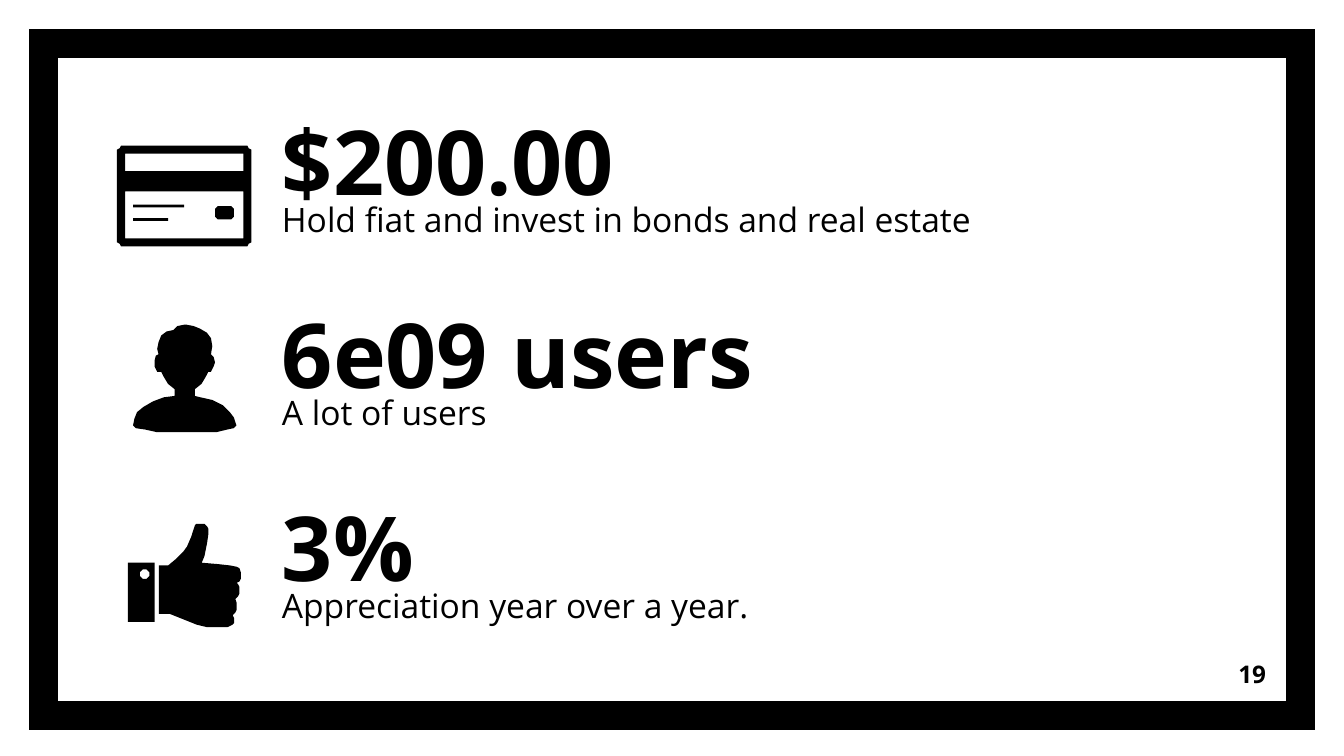
from math import cos, sin, pi
from pptx import Presentation
from pptx.dml.color import RGBColor
from pptx.enum.shapes import MSO_SHAPE as Shape
from pptx.enum.text import MSO_ANCHOR as Anchor, PP_ALIGN as Align
from pptx.util import Pt

INK = "000000"
FONT = "Open Sans"
UNIT = 0.72  # points per step of the icon grid

HEAD = [
    (38, 0), (33, 1), (30, 4), (25, 5), (21, 8), (19, 13), (18, 18), (19, 22),
    (17, 23), (16, 27), (16, 31), (18, 35), (21, 35), (23, 39), (26, 44), (31, 48),
    (31, 53), (23, 54), (15, 57), (8, 61), (3, 65), (1, 70), (0, 75), (2, 77),
    (9, 78), (18, 80), (27, 80.5), (38, 80.5), (50, 80.5), (62, 79.5), (70, 78), (75, 77),
    (77, 75), (75, 69), (72, 65), (67, 60), (59, 56), (50, 54), (46, 53),
    (46, 48), (51, 44), (54, 39), (56, 35), (58, 35), (60, 31), (61, 28),
    (60, 24), (58, 22), (59, 16), (58, 10), (55, 6), (50, 3), (45, 1), (40, 0)]
HAND = [
    (55, 1), (51, 1), (50, 2), (47, 11), (44, 18), (41, 22), (36, 27), (30, 32),
    (23, 32), (23, 68), (31, 68), (41, 72), (51, 76), (59, 78), (66, 78.5), (74, 78),
    (78, 76), (79, 75), (79, 71), (78, 69), (80, 67), (81, 65), (81, 60), (80, 57),
    (82, 55), (83, 53), (83, 48), (82, 46), (81, 45), (83, 44), (84, 42), (84, 37),
    (83, 34), (81, 33), (76, 32), (67, 31), (55, 30), (57, 25), (59, 15),
    (60, 8), (60, 5), (59, 3), (57, 1)]


def paint(hue):
    """Turn a hex string into a colour."""
    return RGBColor.from_string(hue)


def fill(shape, hue=INK):
    """Give a shape a flat fill, no line and no shadow."""
    shape.shadow.inherit = False
    shape.fill.solid()
    shape.fill.fore_color.rgb = paint(hue)
    shape.line.fill.background()


def write(slide, text, box, size=18, bold=False, hue=INK,
          align=Align.LEFT, anchor=Anchor.TOP, before=0):
    """Add a text box of one paragraph; box is left, top, width, height."""
    frame = slide.shapes.add_textbox(*map(Pt, box)).text_frame
    frame.word_wrap = True
    frame.vertical_anchor = anchor
    frame.margin_left = frame.margin_right = Pt(7.2)
    frame.margin_top = frame.margin_bottom = Pt(7.2)
    para = frame.paragraphs[0]
    para.alignment = align
    para.space_before = Pt(before)
    run = para.add_run()
    run.text = text
    run.font.name, run.font.size, run.font.bold = FONT, Pt(size), bold
    run.font.color.rgb = paint(hue)


def trace(slide, left, top, *rings):
    """Draw closed rings of grid points as one shape; inner rings are holes."""
    pen = None
    for ring in rings:
        if pen is None:
            pen = slide.shapes.build_freeform(*ring[0], scale=Pt(UNIT))
        else:
            pen.move_to(*ring[0])
        pen.add_line_segments(ring[1:], close=True)
    fill(pen.convert_to_shape(Pt(left), Pt(top)))


def block(x, y, w, h, r=0):
    """Return the grid points of a box with corners of radius r."""
    spots = [(x + w - r, y + h - r), (x + r, y + h - r), (x + r, y + r), (x + w - r, y + r)]
    if not r:
        return spots
    turns = [pi / 2 * (turn + step / 4) for turn in range(4) for step in range(5)]
    return [(round(spots[i // 5][0] + r * cos(a), 2),
             round(spots[i // 5][1] + r * sin(a), 2)) for i, a in enumerate(turns)]


def card(slide, left, top):
    """Draw the bank card."""
    top += 26.9
    trace(slide, left, top, block(0, 0, 100, 75, 5.5),
          block(5.5, 6, 89, 13), block(5.5, 34, 89, 35))
    for part in [(11.5, 43.5, 39, 3, 1.4), (11.5, 53.5, 27, 3, 1.4), (73, 45, 14, 10, 3)]:
        trace(slide, left, top, block(*part))


def person(slide, left, top):
    """Draw the head and shoulders."""
    trace(slide, left + 8.6, top + 19.5, HEAD)


def thumb(slide, left, top):
    """Draw the cuff with its button and the raised thumb."""
    left, top = left + 5.8, top + 22
    trace(slide, left, top, block(0, 30, 20, 44), block(9, 35, 7, 7, 3.5))
    trace(slide, left, top, HAND)


def row(slide, left, top, icon, title, note):
    """Place an icon with its large figure and note."""
    icon(slide, left, top)
    write(slide, title, (left + 81.3, top, 475.2, 70.6), size=48, bold=True,
          anchor=Anchor.BOTTOM)
    write(slide, note, (left + 81.3, top + 48.1, 475.2, 36.7), before=6)


def border(slide, left, top, width, height):
    """Draw the thick frame and the page number inside its corner."""
    edge = slide.shapes.add_shape(Shape.FRAME, *map(Pt, (left, top, width, height)))
    edge.adjustments[0] = 0.041
    fill(edge)
    write(slide, "19", (left + width - 62.3, top + height - 45.5, 43.2, 31), size=13,
          bold=True, align=Align.RIGHT, anchor=Anchor.MIDDLE)


def main():
    """Build and save the slide."""
    deck = Presentation()
    deck.slide_width, deck.slide_height = Pt(720), Pt(405)
    slide = deck.slides.add_slide(deck.slide_layouts[6])
    border(slide, 15.6, 15.6, 688.8, 375.4)
    rows = [
        (card, "$200.00", "Hold fiat and invest in bonds and real estate"),
        (person, "6e09 users", "A lot of users"),
        (thumb, "3%", "Appreciation year over a year.")]
    for place, parts in enumerate(rows):
        row(slide, 62.7, 51.1 + 103.4 * place, *parts)
    deck.save("out.pptx")


main()
